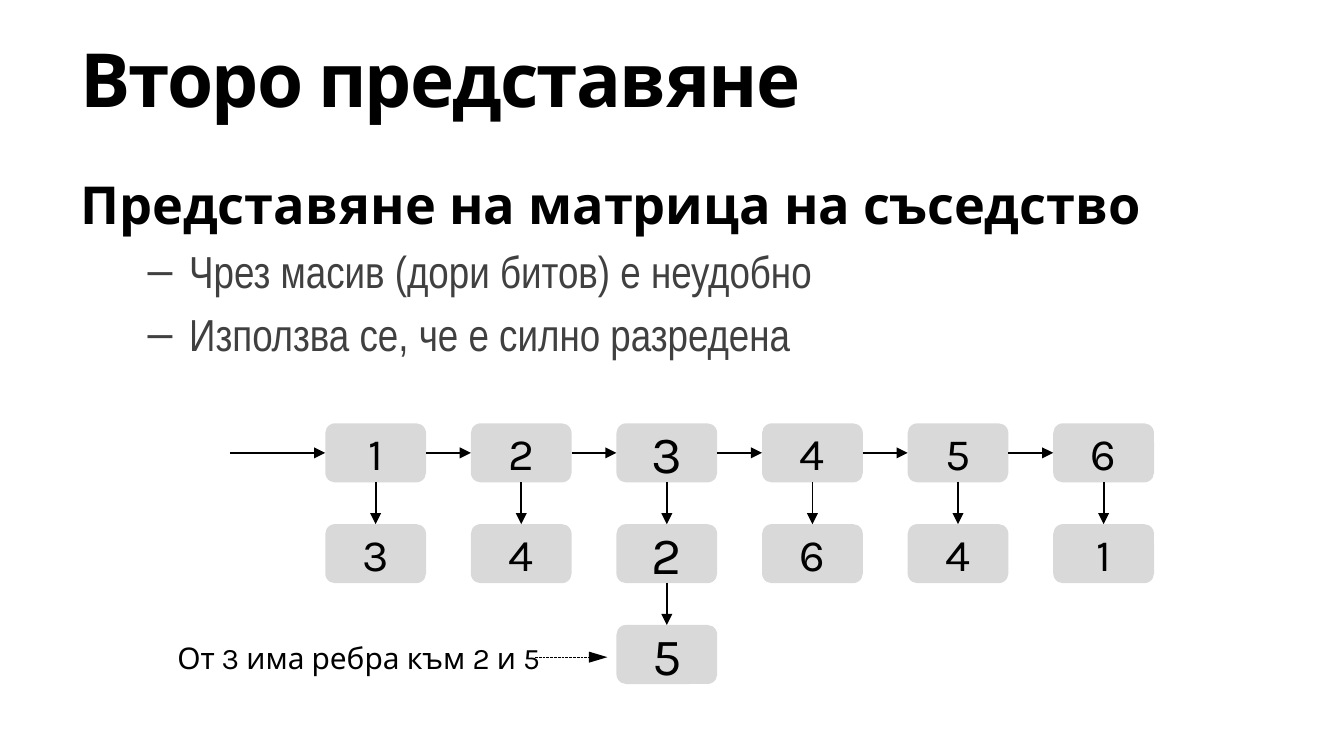
from lxml import etree
from pptx import Presentation
from pptx.dml.color import RGBColor
from pptx.enum.dml import MSO_LINE
from pptx.enum.shapes import MSO_CONNECTOR, MSO_SHAPE
from pptx.enum.text import MSO_ANCHOR, MSO_AUTO_SIZE, PP_ALIGN
from pptx.oxml.ns import qn
from pptx.util import Inches, Pt

CENTER, MIDDLE = PP_ALIGN.CENTER, MSO_ANCHOR.MIDDLE
STRAIGHT, ROUNDED = MSO_CONNECTOR.STRAIGHT, MSO_SHAPE.ROUNDED_RECTANGLE
DASH = MSO_LINE.SQUARE_DOT

# Content
TITLE = "Второ представяне"
HEADING = "Представяне на матрица на съседство"
POINTS = ["Чрез масив (дори битов) е неудобно", "Използва се, че е силно разредена"]
CAPTION = "От 3 има ребра към 2 и 5"
ADJACENCY = [("1", "3"), ("2", "4"), ("3", "2", "5"), ("4", "6"), ("5", "4"), ("6", "1")]
HIGHLIGHTED = "3"

# Formats
BLACK, GRAY, NODE_FILL = "000000", "404040", "D9D9D9"
TITLE_FORMAT = {"name": "Karla", "size": Pt(40), "bold": True}
HEADING_FORMAT = {"name": "Karla", "size": Pt(28), "bold": True}
POINT_FORMAT = {"name": "Arial Narrow", "size": Pt(24), "bold": False}
NODE_FORMAT = {"name": "Karla", "size": Pt(24)}
HIGHLIGHT_FORMAT = {"name": "Karla", "size": Pt(28)}
CAPTION_FORMAT = {"name": "Karla", "size": Pt(16)}

# Slide and node grid, in inches
SLIDE_WIDTH = 10
SLIDE_HEIGHT = SLIDE_WIDTH * 9 / 16
GRID_LEFT, GRID_TOP = 2.42, 3.15
STEP_X, STEP_Y = 6.5 / len(ADJACENCY), 0.75
NODE_WIDTH, NODE_HEIGHT = 0.75, 0.44
ENTRY_LEFT = 1.71


def color(value):
    return RGBColor.from_string(value)


def write(para, text, font_format, text_color=BLACK):
    span = para.add_run()
    span.text = text
    for name, value in font_format.items():
        setattr(span.font, name, value)
    span.font.color.rgb = color(text_color)
    return span


def add_box(page, left, top, width, height):
    box = page.shapes.add_textbox(*map(Inches, (left, top, width, height)))
    box.text_frame.word_wrap = True
    return box.text_frame


def add_point(frame, text):
    para = frame.add_paragraph()
    properties = para._p.get_or_add_pPr()
    properties.set("marL", str(Inches(0.81)))
    properties.set("indent", str(Inches(-0.31)))
    etree.SubElement(properties, qn("a:buFont")).set("typeface", "Arial")
    etree.SubElement(properties, qn("a:buChar")).set("char", "–")
    para.level = 1
    para.space_before = Pt(4.8)
    write(para, text, POINT_FORMAT, GRAY)


def add_node(page, left, top, text, font_format):
    node = page.shapes.add_shape(
        ROUNDED, *map(Inches, (left, top, NODE_WIDTH, NODE_HEIGHT)))
    node.shadow.inherit = False
    node.fill.solid()
    node.fill.fore_color.rgb = color(NODE_FILL)
    node.line.fill.background()
    node.text_frame.vertical_anchor = MIDDLE
    para = node.text_frame.paragraphs[0]
    para.alignment = CENTER
    write(para, text, font_format)


def add_arrow(page, start_x, start_y, end_x, end_y, width=1, dash=None, head="med"):
    arrow = page.shapes.add_connector(
        STRAIGHT, *map(Inches, (start_x, start_y, end_x, end_y)))
    arrow.line.color.rgb = color(BLACK)
    arrow.line.width = Pt(width)
    if dash:
        arrow.line.dash_style = dash
    tip = etree.SubElement(arrow.line._get_or_add_ln(), qn("a:tailEnd"))
    tip.set("type", "triangle")
    tip.set("len", head)
    etree.SubElement(arrow._element.spPr, qn("a:effectLst"))


deck = Presentation()
deck.slide_width, deck.slide_height = Inches(SLIDE_WIDTH), Inches(SLIDE_HEIGHT)
page = deck.slides.add_slide(deck.slide_layouts[6])

# Heading and points
body = add_box(page, 0.5, 1.23, 9.5, 4.08)
write(body.paragraphs[0], HEADING, HEADING_FORMAT)
for point in POINTS:
    add_point(body, point)

# Title
title = add_box(page, 0.5, 0.15, 9.5, 0.85)
title.vertical_anchor = MIDDLE
span = write(title.paragraphs[0], TITLE, TITLE_FORMAT)
span.font._element.set("spc", "-100")

# Adjacency lists: one column per vertex, its neighbours below it
for column, chain in enumerate(ADJACENCY):
    left = GRID_LEFT + column * STEP_X
    center = left + NODE_WIDTH / 2
    font_format = HIGHLIGHT_FORMAT if chain[0] == HIGHLIGHTED else NODE_FORMAT
    for row, label in enumerate(chain):
        top = GRID_TOP + row * STEP_Y
        add_node(page, left, top, label, font_format)
        if row:
            add_arrow(page, center, top - STEP_Y + NODE_HEIGHT, center, top)
    # Arrow into the vertex from the one before it
    start = left - STEP_X + NODE_WIDTH if column else ENTRY_LEFT
    middle = GRID_TOP + NODE_HEIGHT / 2
    add_arrow(page, start, middle, left, middle)

# Caption with its dashed arrow
caption = add_box(page, 1.13, 4.71, 3.08, 0.37)
caption.auto_size = MSO_AUTO_SIZE.SHAPE_TO_FIT_TEXT
caption.paragraphs[0].alignment = CENTER
write(caption.paragraphs[0], CAPTION, CAPTION_FORMAT)
add_arrow(page, 3.98, 4.89, 4.52, 4.89, 0.5, DASH, "lg")

deck.save("out.pptx")
